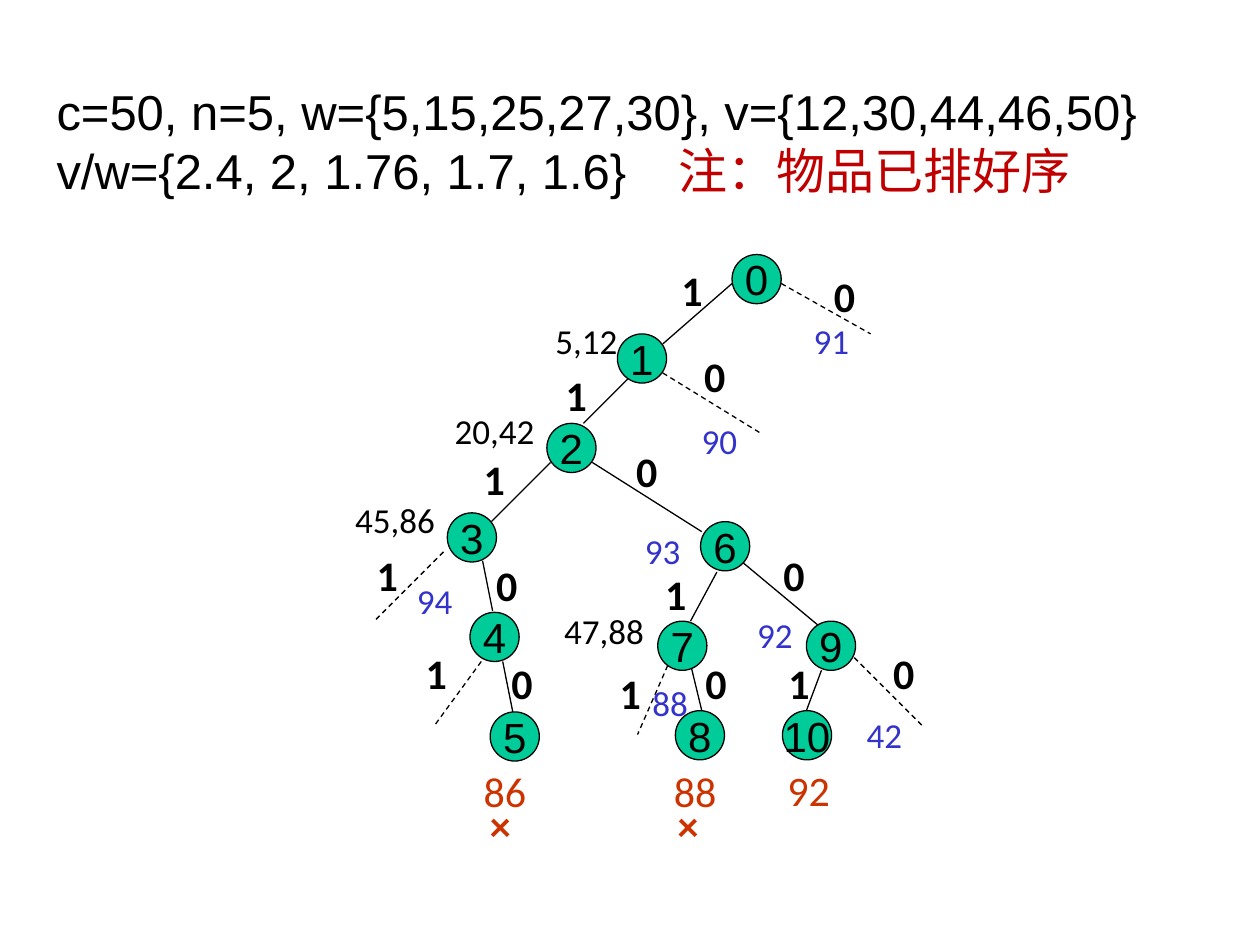
"""Build the branch-and-bound search tree slide for a 0/1 knapsack problem."""
from dataclasses import dataclass

from lxml.etree import SubElement
from pptx import Presentation
from pptx.dml.color import RGBColor
from pptx.enum.dml import MSO_LINE
from pptx.enum.shapes import MSO_CONNECTOR, MSO_SHAPE
from pptx.enum.text import MSO_ANCHOR, MSO_AUTO_SIZE, PP_ALIGN
from pptx.oxml.ns import qn
from pptx.util import Pt

PX = 9144


@dataclass(frozen=True)
class Theme:
    ink: str = "000000"
    node: str = "00CC99"
    bound: str = "3333CC"
    result: str = "CC3300"
    note: str = "C00000"
    heading_font: str = "Arial"
    label_font: str = "Calibri"
    heading_size: int = 28
    node_size: int = 24
    branch_size: int = 24
    state_size: int = 20
    line_width: float = 0.75


theme = Theme()


def style(font, name, size, color, bold=False):
    font.name = name
    font.size = Pt(size)
    font.bold = bold
    font.color.rgb = RGBColor.from_string(color)


presentation = Presentation()
presentation.slide_width = 1000 * PX
presentation.slide_height = 750 * PX
slide = presentation.slides.add_slide(presentation.slide_layouts[6])

heading = slide.shapes.add_textbox(35 * PX, 60 * PX, 921 * PX, 103 * PX)
heading_frame = heading.text_frame
heading_frame.word_wrap = True
heading_frame.auto_size = MSO_AUTO_SIZE.SHAPE_TO_FIT_TEXT
heading_frame.text = "c=50, n=5, w={5,15,25,27,30}, v={12,30,44,46,50}\nv/w={2.4, 2, 1.76, 1.7, 1.6}\t"
ratio_paragraph = heading_frame.paragraphs[1]
tab_list = SubElement(ratio_paragraph._p.get_or_add_pPr(), qn("a:tabLst"))
SubElement(tab_list, qn("a:tab"), pos=str(494 * PX), algn="l")
ratio_paragraph.add_run().text = "注：物品已排好序"
for paragraph in heading_frame.paragraphs:
    for run in paragraph.runs:
        style(run.font, theme.heading_font, theme.heading_size, theme.ink)
ratio_paragraph.runs[-1].font.color.rgb = RGBColor.from_string(theme.note)

tree = slide.shapes.add_group_shape().shapes

solid_edges = [
    (581, 225, 526, 273), (499, 300, 463, 336), (437, 367, 390, 414),
    (470, 367, 557, 422), (383, 445, 391, 485), (399, 525, 407, 565),
    (569, 454, 548, 493), (549, 531, 557, 564), (589, 446, 655, 501),
    (652, 532, 640, 564),
]
pruned_edges = [
    (620, 225, 691, 265), (526, 296, 604, 344), (352, 438, 297, 493),
    (382, 525, 344, 577), (530, 528, 506, 583), (678, 522, 733, 577),
]
for edges, dash in ((solid_edges, None), (pruned_edges, MSO_LINE.DASH)):
    for edge in edges:
        connector = tree.add_connector(MSO_CONNECTOR.STRAIGHT, *(value * PX for value in edge))
        connector.line.color.rgb = RGBColor.from_string(theme.ink)
        connector.line.width = Pt(theme.line_width)
        connector.line.dash_style = dash
        SubElement(connector._element.spPr, qn("a:effectLst"))

node_diameter = 39
node_positions = [
    (581, 202), (490, 265), (434, 336), (355, 407), (373, 486), (389, 565),
    (556, 414), (522, 493), (536, 564), (640, 493), (621, 564),
]
for number, (left, top) in enumerate(node_positions):
    node = tree.add_shape(
        MSO_SHAPE.OVAL, left * PX, top * PX, node_diameter * PX, node_diameter * PX
    )
    node.shadow.inherit = False
    node.fill.solid()
    node.fill.fore_color.rgb = RGBColor.from_string(theme.node)
    node.line.color.rgb = RGBColor.from_string(theme.ink)
    node.line.width = Pt(theme.line_width)
    frame = node.text_frame
    frame.word_wrap = False
    frame.vertical_anchor = MSO_ANCHOR.MIDDLE
    frame.text = str(number)
    paragraph = frame.paragraphs[0]
    paragraph.alignment = PP_ALIGN.CENTER
    style(paragraph.runs[0].font, theme.heading_font, theme.node_size, theme.ink)

branches = [
    ("1", 531, 205), ("1", 439, 288), ("1", 374, 355), ("1", 289, 431),
    ("1", 328, 509), ("1", 518, 446), ("1", 482, 525), ("1", 616, 517),
    ("0", 652, 210), ("0", 549, 273), ("0", 495, 349), ("0", 384, 439),
    ("0", 396, 517), ("0", 550, 517), ("0", 612, 431), ("0", 699, 509),
]
states = [("5,12", 431, 249), ("20,42", 351, 320), ("45,86", 272, 391), ("47,88", 438, 479)]
bounds = [
    ("91", 636, 249), ("90", 547, 328), ("93", 502, 415), ("94", 321, 455),
    ("92", 591, 482), ("88", 508, 536), ("42", 678, 561),
]
results = [("86", 374, 603), ("88", 525, 603), ("92", 615, 602)]
crosses = [("×", 379, 630), ("×", 528, 630)]
label_groups = [
    (branches, 37, 50, theme.branch_size, theme.ink, True),
    (states, 87, 43, theme.state_size, theme.ink, False),
    (bounds, 48, 43, theme.state_size, theme.bound, False),
    (results, 54, 50, theme.branch_size, theme.result, False),
    (crosses, 54, 50, theme.branch_size, theme.result, True),
]
for labels, width, height, size, color, bold in label_groups:
    for text, left, top in labels:
        label = tree.add_textbox(left * PX, top * PX, width * PX, height * PX)
        frame = label.text_frame
        frame.word_wrap = False
        frame.auto_size = MSO_AUTO_SIZE.SHAPE_TO_FIT_TEXT
        frame.text = text
        style(frame.paragraphs[0].runs[0].font, theme.label_font, size, color, bold)

presentation.save("out.pptx")
